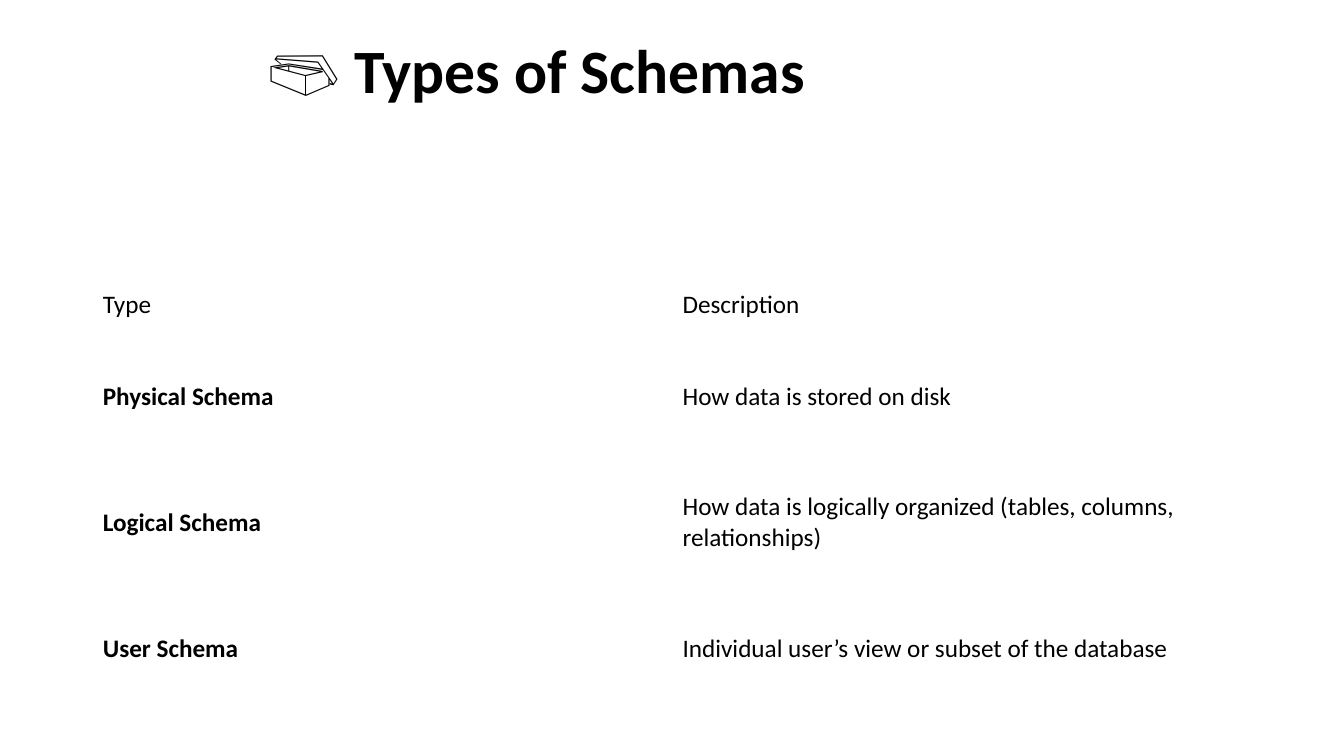
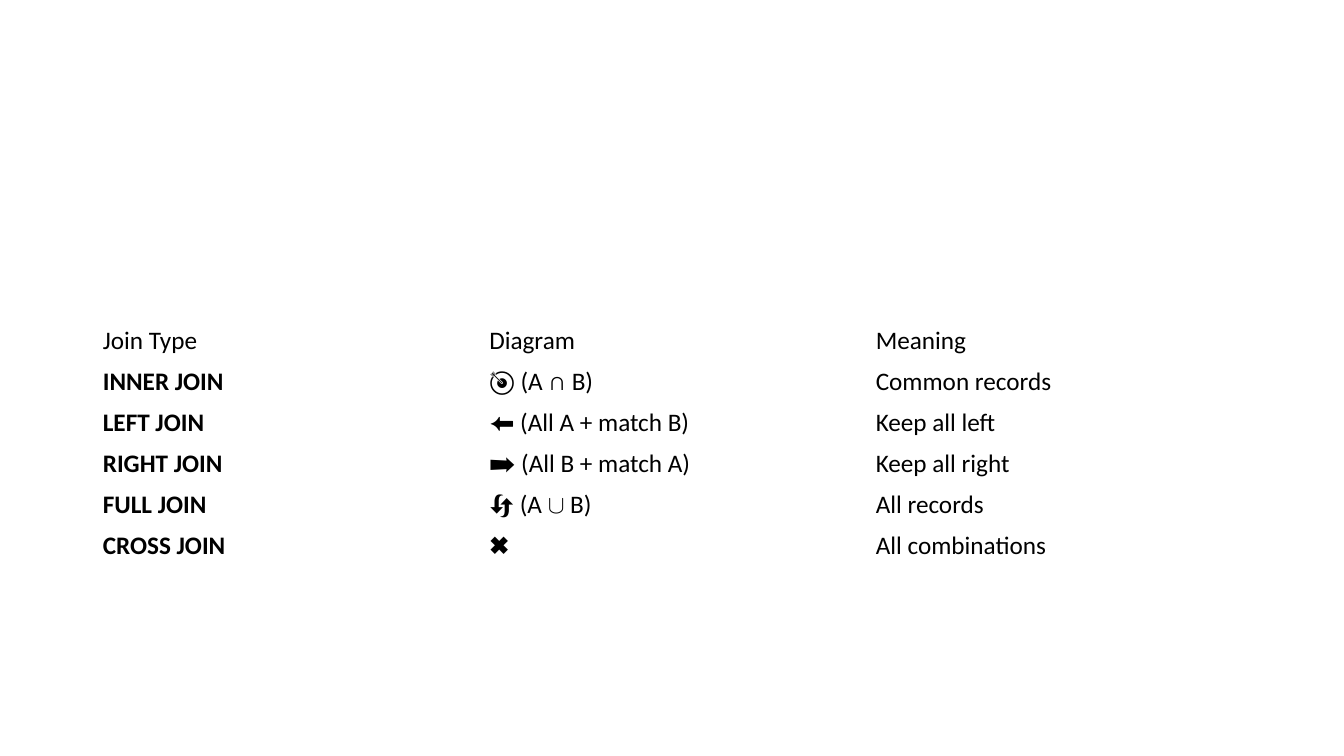
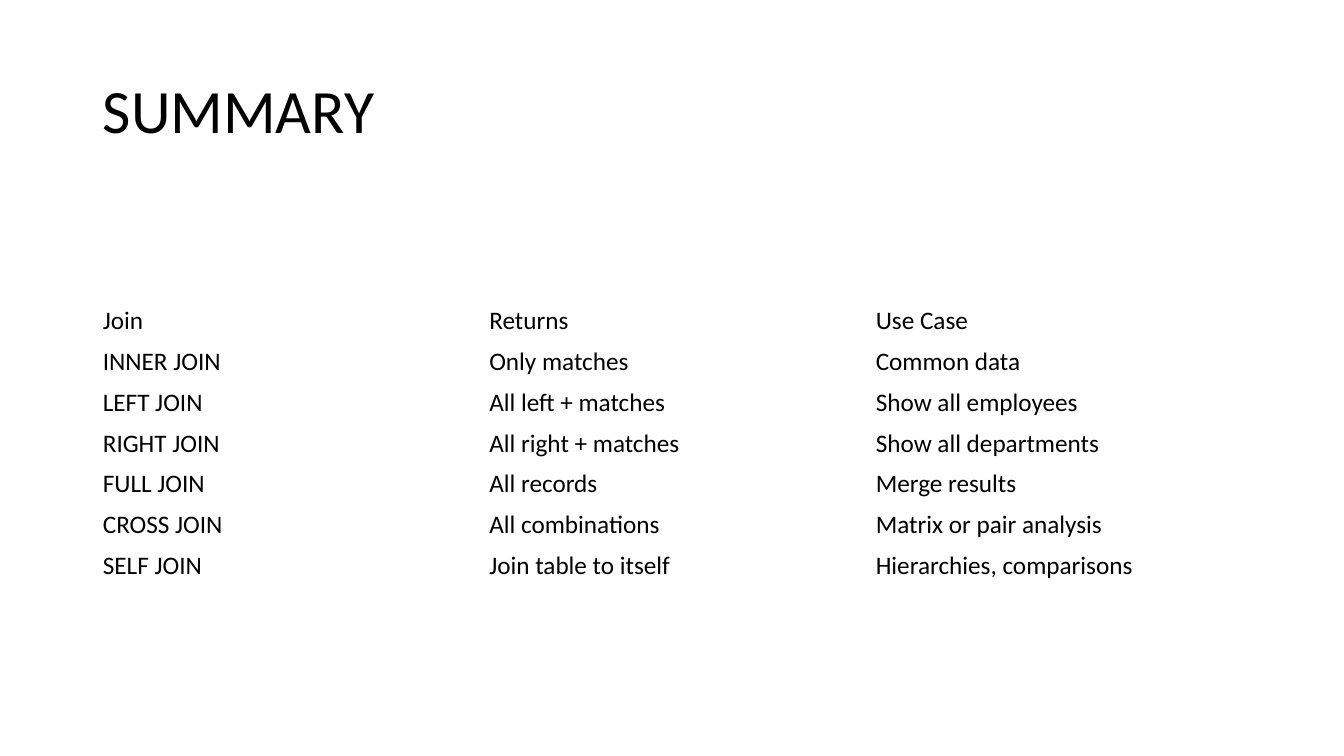
"""Build three slides on database schemas and SQL joins."""
from dataclasses import dataclass

from pptx import Presentation
from pptx.dml.color import RGBColor
from pptx.enum.text import MSO_ANCHOR as Anchor, MSO_AUTO_SIZE as AutoSize, PP_ALIGN as Align
from pptx.util import Pt

PX = 9144
TITLE_ONLY, BLANK = 5, 6
MARGIN, CONTENT_W = 92, 1150
TITLE_H, ROW_H = 145, 40


@dataclass(frozen=True)
class Theme:
    font: str = "Calibri"
    ink: RGBColor = RGBColor(0, 0, 0)
    paper: RGBColor = RGBColor(255, 255, 255)
    title_size: int = 44
    body_size: int = 18


THEME = Theme()

SCHEMAS = [
    ("Type", "Description"),
    ("Physical Schema", "How data is stored on disk"),
    ("Logical Schema", "How data is logically organized (tables, columns, relationships)"),
    ("User Schema", "Individual user’s view or subset of the database"),
]
JOINS = [
    ("Join Type", "Diagram", "Meaning"),
    ("INNER JOIN", "🎯 (A ∩ B)", "Common records"),
    ("LEFT JOIN", "⬅️ (All A + match B)", "Keep all left"),
    ("RIGHT JOIN", "➡️ (All B + match A)", "Keep all right"),
    ("FULL JOIN", "🔄 (A ∪ B)", "All records"),
    ("CROSS JOIN", "✖️", "All combinations"),
]
SUMMARY = [
    ("Join", "Returns", "Use Case"),
    ("INNER JOIN", "Only matches", "Common data"),
    ("LEFT JOIN", "All left + matches", "Show all employees"),
    ("RIGHT JOIN", "All right + matches", "Show all departments"),
    ("FULL JOIN", "All records", "Merge results"),
    ("CROSS JOIN", "All combinations", "Matrix or pair analysis"),
    ("SELF JOIN", "Join table to itself", "Hierarchies, comparisons"),
]


def add_run(p, text, size=THEME.body_size, bold=False, color=THEME.ink):
    r = p.add_run()
    r.text = text
    r.font.name = THEME.font
    r.font.size = Pt(size)
    r.font.bold = bold
    r.font.color.rgb = color


def add_slide(prs, layout):
    s = prs.slides.add_slide(prs.slide_layouts[layout])
    s.background.fill.solid()
    s.background.fill.fore_color.rgb = THEME.paper
    return s


def set_title(s, text, icon="", left=MARGIN, top=0, bold=False):
    sp = s.shapes.title
    sp.left, sp.top = left * PX, top * PX
    sp.width, sp.height = CONTENT_W * PX, TITLE_H * PX
    tf = sp.text_frame
    tf.word_wrap = True
    tf.auto_size = AutoSize.NONE
    tf.vertical_anchor = Anchor.MIDDLE
    p = tf.paragraphs[0]
    p.alignment = Align.LEFT
    p.line_spacing = 0.9
    if icon:
        add_run(p, f"{icon} ", size=THEME.title_size)
    add_run(p, text, size=THEME.title_size, bold=bold)


def add_grid(s, rows, top, heights=None, bold_labels=False):
    heights = heights or [ROW_H] * len(rows)
    n_cols = len(rows[0])
    frame = s.shapes.add_table(len(rows), n_cols, MARGIN * PX, top * PX,
                               CONTENT_W * PX, sum(heights) * PX)
    table = frame.table
    table.first_row = table.horz_banding = False
    for col in table.columns:
        col.width = CONTENT_W * PX // n_cols
    for i, (row, height) in enumerate(zip(rows, heights)):
        table.rows[i].height = height * PX
        for j, text in enumerate(row):
            cell = table.cell(i, j)
            cell.fill.background()
            cell.vertical_anchor = Anchor.MIDDLE
            add_run(cell.text_frame.paragraphs[0], text,
                    bold=bold_labels and i > 0 and j == 0)


def main():
    prs = Presentation()
    prs.slide_width, prs.slide_height = 1333 * PX, 750 * PX

    s = add_slide(prs, TITLE_ONLY)
    set_title(s, "Types of Schemas", icon="🗃️", left=256, bold=True)
    add_grid(s, SCHEMAS, top=257, heights=[91, 91, 159, 91], bold_labels=True)

    s = add_slide(prs, BLANK)
    add_grid(s, JOINS, top=318, bold_labels=True)

    s = add_slide(prs, TITLE_ONLY)
    set_title(s, "SUMMARY", top=40)
    add_grid(s, SUMMARY, top=298)

    prs.save("out.pptx")


if __name__ == "__main__":
    main()
